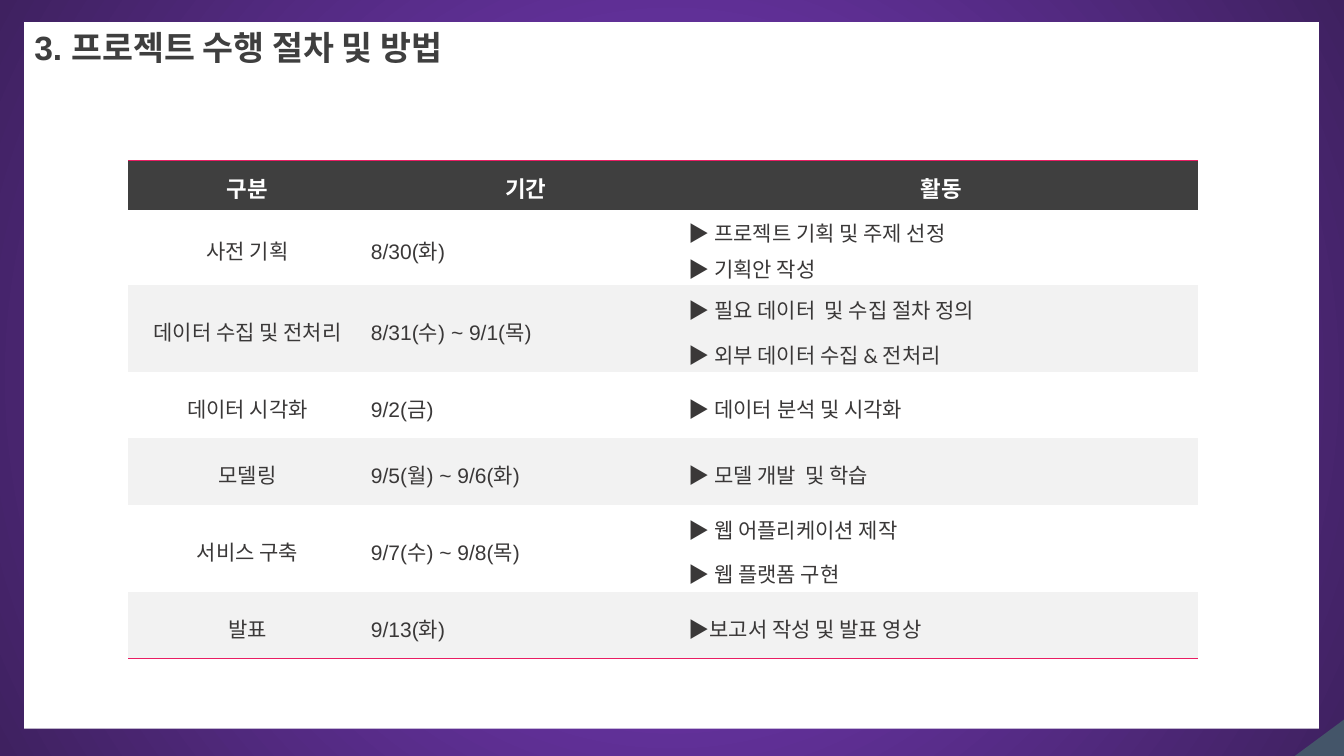
from pptx import Presentation
from pptx.dml.color import RGBColor as RGB
from pptx.enum.shapes import MSO_SHAPE as Kind
from pptx.enum.text import MSO_ANCHOR as Anchor, MSO_AUTO_SIZE as Auto, PP_ALIGN as Align
from pptx.oxml import parse_xml
from pptx.oxml.ns import nsdecls
from pptx.util import Inches, Pt

COLORS = {
    "glow": "7E3DC8", "edge": "3F2160", "panel": "FFFFFF", "corner": "445569",
    "title": "3F3F3F", "head": "3F3F3F", "label": "FFFFFF", "text": "3A3838",
    "plain": "FFFFFF", "band": "F2F2F2", "rule": "E91D63",
}
CAL = "Calibri"
NO_GRID = "{2D5ABB26-0587-4C30-8999-92F81FD0307C}"
WIDTHS = (2.37, 3.15, 5.09)
HEIGHTS = (0.49, 0.75, 0.86, 0.66, 0.66, 0.86, 0.66)
HEADS = ("구분", "기간", "활동")

# Stage runs, period, activity lines, space between lines; a run is Arial text or (text, font).
STAGES = [
    (["사전 기획"], "8/30(화)",
     [["▶ ", "프로젝트 기획 및 주제 선정"], ["▶ ", "기획안 작성"]], 0),
    ([("데이터 수집 ", CAL), "및 전처리"], "8/31(수) ~ 9/1(목)",
     [["▶ ", ("필요 데이터  및 수집 절차 정의", CAL)],
      ["▶ ", ("외부 데이터 수집 & ", CAL), "전처리"]], 6),
    ([("데이터 ", CAL), "시각화"], "9/2(금)",
     [["▶ ", ("데이터 ", CAL), "분석 및 시각화"]], 0),
    ([("모델링", CAL)], "9/5(월) ~ 9/6(화)", [["▶ ", "모델 개발  및 학습"]], 0),
    ([("서비스 구축", CAL)], "9/7(수) ~ 9/8(목)",
     [["▶ ", "웹 어플리케이션 제작"], ["▶ ", "웹 ", ("플랫폼 구현", CAL)]], 6),
    (["발표"], "9/13(화)", [["▶", "보고서 작성 및 발표 영상"]], 0),
]


def color(name):
    return RGB.from_string(COLORS[name])


def style(font, size, tint, bold=False):
    font.name, font.size, font.bold = "Arial", Pt(size), bold
    font.color.rgb = color(tint)


def paint(slide):
    """Give the slide a round gradient that is lightest in the middle."""
    fill = slide.background.fill
    fill.gradient()
    for stop, name in zip(fill.gradient_stops, ("glow", "edge")):
        stop.color.rgb = color(name)
    line = slide.element.xpath(".//p:bg//a:lin")[0]
    line.getparent().replace(line, parse_xml(
        f'<a:path {nsdecls("a")} path="circle">'
        '<a:fillToRect l="50000" t="50000" r="50000" b="50000"/></a:path>'))


def add_block(slide, kind, box, name, turn=0):
    shape = slide.shapes.add_shape(kind, *map(Inches, box))
    shape.shadow.inherit = False
    shape.fill.solid()
    shape.fill.fore_color.rgb = color(name)
    shape.line.fill.background()
    shape.rotation = turn


def set_title(slide, text, box):
    title = slide.shapes.title
    title.left, title.top, title.width, title.height = map(Inches, box)
    title.element.getparent().append(title.element)
    frame = title.text_frame
    frame.text = text
    frame.auto_size = Auto.NONE
    frame.word_wrap = True
    frame.vertical_anchor = Anchor.TOP
    para = frame.paragraphs[0]
    para.alignment = Align.LEFT
    style(para.font, 24, "title", True)


def fill_cell(cell, lines, back, center=False, head=False, gap=0):
    cell.fill.solid()
    cell.fill.fore_color.rgb = color(back)
    cell.vertical_anchor = Anchor.MIDDLE
    sides = (0.09, 0.05, 0.09, 0.05) if center else (0.04, 0, 0, 0)
    (cell.margin_left, cell.margin_top,
     cell.margin_right, cell.margin_bottom) = map(Inches, sides)
    frame = cell.text_frame
    for i, runs in enumerate(lines):
        para = frame.add_paragraph() if i else frame.paragraphs[0]
        para.alignment = Align.CENTER if center else Align.LEFT
        para.line_spacing = 1.2
        if i and gap:
            para.space_before = Pt(gap)
        style(para.font, 16 if head else 15, "label" if head else "text", head)
        for item in runs:
            text, face = (item, None) if isinstance(item, str) else item
            run = para.add_run()
            run.text = text
            if face:
                run.font.name = face
            if text.startswith("▶"):
                run.font.bold = True


def add_rule(cell, side):
    """Draw a thin border on the top (T) or bottom (B) of a cell."""
    cell.fill.fore_color
    props = cell.fill._xPr
    props.insert(0, parse_xml(
        f'<a:ln{side} {nsdecls("a")} w="{Pt(0.75)}"><a:solidFill>'
        f'<a:srgbClr val="{COLORS["rule"]}"/></a:solidFill></a:ln{side}>'))


def add_plan(slide):
    frame = slide.shapes.add_table(
        len(HEIGHTS), len(WIDTHS), Inches(1.27), Inches(1.59),
        Inches(sum(WIDTHS)), Inches(sum(HEIGHTS)))
    frame.element.xpath(".//a:tableStyleId")[0].text = NO_GRID
    table = frame.table
    for column, width in zip(table.columns, WIDTHS):
        column.width = Inches(width)
    for row, height in zip(table.rows, HEIGHTS):
        row.height = Inches(height)
    for i, head in enumerate(HEADS):
        fill_cell(table.cell(0, i), [[head]], "head", center=True, head=True)
    for i, (stage, period, tasks, gap) in enumerate(STAGES, 1):
        back = "plain" if i % 2 else "band"
        fill_cell(table.cell(i, 0), [stage], back, center=True)
        fill_cell(table.cell(i, 1), [[period]], back)
        fill_cell(table.cell(i, 2), tasks, back, gap=gap)
    for i in range(len(HEADS)):
        add_rule(table.cell(0, i), "T")
        add_rule(table.cell(len(STAGES), i), "B")


def main():
    deck = Presentation()
    deck.slide_width, deck.slide_height = Inches(13.33), Inches(7.5)
    slide = deck.slides.add_slide(deck.slide_layouts[5])
    paint(slide)
    add_block(slide, Kind.RIGHT_TRIANGLE, (12.9, 7.07, 0.37, 0.5), "corner", 270)
    add_block(slide, Kind.RECTANGLE, (0.24, 0.22, 12.84, 7.01), "panel")
    set_title(slide, "3. 프로젝트 수행 절차 및 방법", (0.24, 0.22, 5.17, 0.5))
    add_plan(slide)
    deck.save("out.pptx")


if __name__ == "__main__":
    main()
